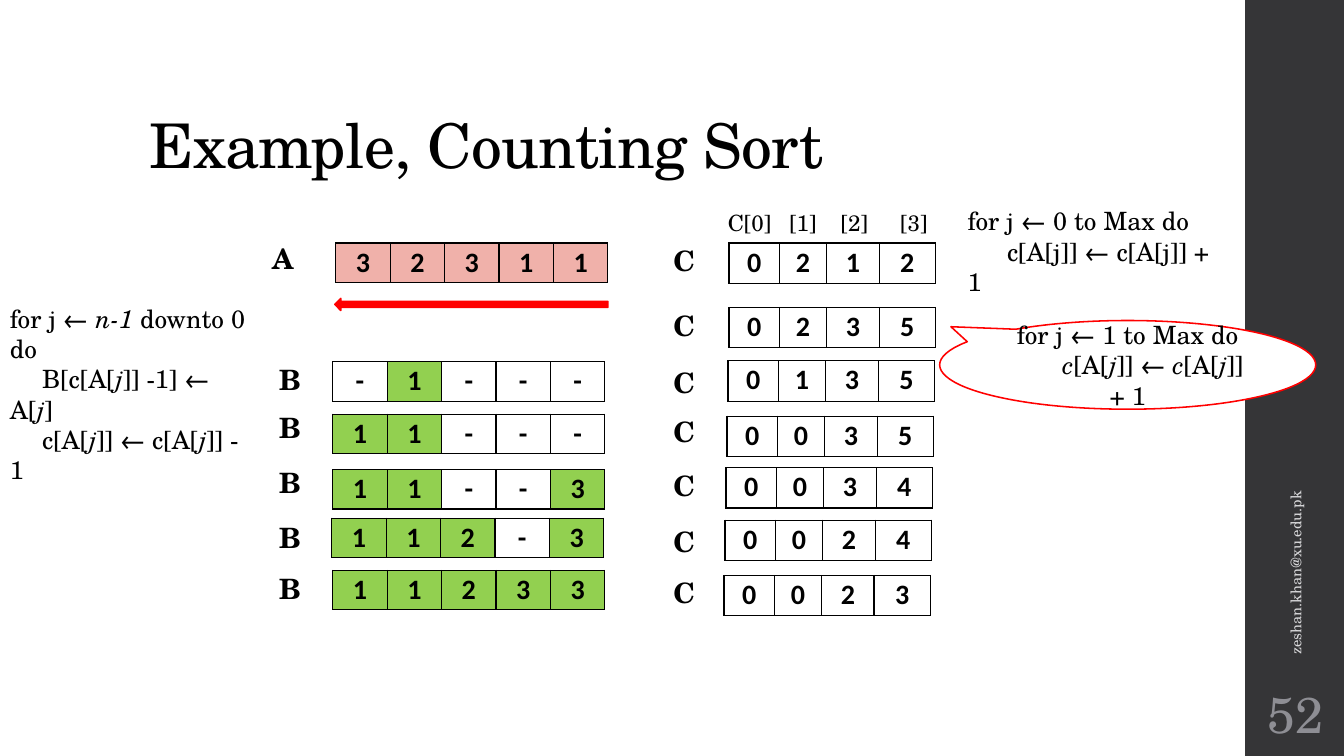
import pptx
import pptx.dml.color
import pptx.enum.shapes
import pptx.enum.text
import pptx.oxml
import pptx.oxml.ns
import pptx.util

Inches = pptx.util.Inches
Pt = pptx.util.Pt
RGBColor = pptx.dml.color.RGBColor
Shape = pptx.enum.shapes.MSO_SHAPE
Align = pptx.enum.text.PP_ALIGN
Anchor = pptx.enum.text.MSO_ANCHOR

BLACK = RGBColor(0, 0, 0)
WHITE = RGBColor(255, 255, 255)
RED = RGBColor(255, 0, 0)
PINK = RGBColor(0xF0, 0xB1, 0xAA)
GREEN = RGBColor(0x92, 0xD0, 0x50)
CHARCOAL = RGBColor(0x35, 0x35, 0x37)
GREY = RGBColor(0x8E, 0x8E, 0x94)
PALE_GREY = RGBColor(0xD9, 0xD9, 0xDB)

NAMESPACE = pptx.oxml.ns.nsdecls("a")

INPUT_WIDTHS = [0.54] * 5
COUNT_WIDTHS = [0.5, 0.47, 0.52, 0.56]


class SlideBuilder:
    font = "TeX Gyre Schola"
    cell_font = "Calibri"

    def __init__(self, page):
        self.page = page

    def add_spans(self, para, pieces, size, color=BLACK, bold=False, font=None):
        for number, piece in enumerate(pieces.split("*")):
            if piece:
                span = para.add_run()
                span.text = piece
                span.font.name = font or self.font
                span.font.size = Pt(size)
                span.font.bold = bold
                span.font.italic = number % 2 == 1
                span.font.color.rgb = color

    def title(self, text):
        box = self.page.shapes.title
        box.left, box.top = Inches(1.38), Inches(0.4)
        box.width, box.height = Inches(10.6), Inches(1.45)
        box.text_frame.auto_size = pptx.enum.text.MSO_AUTO_SIZE.NONE
        box.text_frame.vertical_anchor = Anchor.BOTTOM
        para = box.text_frame.paragraphs[0]
        para.alignment = Align.LEFT
        para.line_spacing = 0.9
        self.add_spans(para, text, 44)
        para.runs[0].font._element.set("spc", "-50")

    def lines(self, box, lines, size, indent=0, align=Align.LEFT, **style):
        frame = box.text_frame
        for number, line in enumerate(lines):
            para = frame.add_paragraph() if number else frame.paragraphs[0]
            para.alignment = align
            if number and indent:
                properties = para._p.get_or_add_pPr()
                properties.set("marL", "0")
                properties.set("indent", str(Inches(indent)))
            self.add_spans(para, line, size, **style)

    def text(self, left, top, width, height, lines, size, wrap=True,
             anchor=Anchor.TOP, **style):
        box = self.page.shapes.add_textbox(
            Inches(left), Inches(top), Inches(width), Inches(height))
        box.text_frame.word_wrap = wrap
        box.text_frame.vertical_anchor = anchor
        self.lines(box, lines, size, **style)
        return box

    def shape(self, kind, left, top, width, height, fill, line=None):
        shape = self.page.shapes.add_shape(
            kind, Inches(left), Inches(top), Inches(width), Inches(height))
        shape.shadow.inherit = False
        shape.fill.solid()
        shape.fill.fore_color.rgb = fill
        if line is None:
            shape.line.fill.background()
        else:
            shape.line.color.rgb = line
            shape.line.width = Pt(1.1)
        return shape

    def array(self, left, top, widths, height, values, fill=None):
        table = self.page.shapes.add_table(
            1, len(widths), Inches(left), Inches(top),
            Inches(sum(widths)), Inches(height)).table
        table.first_row = False
        table.horz_banding = False
        table.rows[0].height = Inches(height)
        for column, width, cell, value in zip(
                table.columns, widths, table.rows[0].cells, values):
            column.width = Inches(width)
            cell.margin_left = cell.margin_right = Inches(0.07)
            cell.margin_top = cell.margin_bottom = 0
            properties = cell._tc.get_or_add_tcPr()
            for side in ("lnL", "lnR", "lnT", "lnB"):
                properties.append(pptx.oxml.parse_xml(
                    f'<a:{side} {NAMESPACE} w="{Pt(1)}"><a:solidFill>'
                    f'<a:srgbClr val="{BLACK}"/></a:solidFill></a:{side}>'))
            if fill and value != "-":
                cell.fill.solid()
                cell.fill.fore_color.rgb = fill
            else:
                cell.fill.background()
            para = cell.text_frame.paragraphs[0]
            para.alignment = Align.CENTER
            para.line_spacing = 1.07
            self.add_spans(para, value, 20, bold=True, font=self.cell_font)

    def label(self, left, top, letter):
        self.text(left, top, 0.44, 0.44, [letter], 20, wrap=False, bold=True)

    def index_header(self, left, top, names, stops):
        box = self.text(left, top, 2.28, 0.37, ["\t".join(names)], 16)
        properties = box.text_frame.paragraphs[0]._p.get_or_add_pPr()
        tabs = "".join(
            f'<a:tab pos="{Inches(stop)}" algn="l"/>' for stop in stops)
        properties.append(pptx.oxml.parse_xml(
            f"<a:tabLst {NAMESPACE}>{tabs}</a:tabLst>"))


def main():
    deck = pptx.Presentation()
    deck.slide_width, deck.slide_height = Inches(13.33), Inches(7.5)
    slide = SlideBuilder(deck.slides.add_slide(deck.slide_layouts[5]))

    slide.shape(Shape.RECTANGLE, 12.35, 0, 1, 7.5, CHARCOAL)
    slide.title("Example, Counting Sort")
    slide.text(12.35, 6.75, 1, 0.65, ["52"], 36,
               anchor=Anchor.MIDDLE, align=Align.CENTER, color=GREY)

    slide.array(3.33, 2.41, INPUT_WIDTHS, 0.39, "32311", PINK)
    slide.label(2.6, 2.35, "A")
    for left, top, label_top, values in (
            (3.3, 3.59, 3.55, "-1---"),
            (3.3, 4.11, 4.02, "11---"),
            (3.3, 4.66, 4.57, "11--3"),
            (3.29, 5.14, 5.11, "112-3"),
            (3.3, 5.66, 5.62, "11233")):
        slide.array(left, top, INPUT_WIDTHS, 0.39, values, GREEN)
        slide.label(2.67, label_top, "B")

    for left, top, label_top, values in (
            (7.23, 2.41, 2.37, "0212"),
            (7.23, 3.05, 3.01, "0235"),
            (7.22, 3.58, 3.58, "0135"),
            (7.21, 4.13, 4.06, "0035"),
            (7.2, 4.64, 4.6, "0034"),
            (7.19, 5.16, 5.15, "0024"),
            (7.18, 5.71, 5.66, "0023")):
        slide.array(left, top, COUNT_WIDTHS, 0.4, values)
        slide.label(6.58, label_top, "C")

    callout = slide.shape(
        Shape.OVAL_CALLOUT, 9.32, 3.18, 3.73, 0.88, WHITE, RED)
    callout.adjustments[0] = -0.47
    callout.adjustments[1] = -0.43
    callout.text_frame.word_wrap = True
    callout.text_frame.vertical_anchor = Anchor.MIDDLE
    slide.lines(callout, ["for j ← 1 to Max do", "*c*[A[*j*]] ← *c*[A[*j*]] + 1"],
                18, indent=0.5, align=Align.CENTER)

    slide.text(9.5, 1.99, 2.7, 0.71,
               ["for j ← 0 to Max do", "c[A[j]] ← c[A[j]] + 1"],
               18, indent=0.39)
    slide.text(0, 2.96, 2.67, 1.31,
               ["for j ← *n-1* downto 0 do",
                "B[c[A[*j*]] -1] ← A[*j*]",
                "c[A[*j*]] ← c[A[*j*]] - 1"],
               18, indent=0.32)
    slide.index_header(7.12, 2.03, ["C[0]", "[1]", "[2]", "[3]"],
                       [0.61, 1.12, 1.71])
    slide.shape(Shape.LEFT_ARROW, 3.32, 2.96, 2.71, 0.12, RED, RED)

    email = slide.text(10.89, 4.43, 3.92, 0.4, ["zeshan.khan@xu.edu.pk"],
                       10.5, anchor=Anchor.MIDDLE, color=PALE_GREY)
    email.rotation = 270
    deck.save("out.pptx")


if __name__ == "__main__":
    main()
